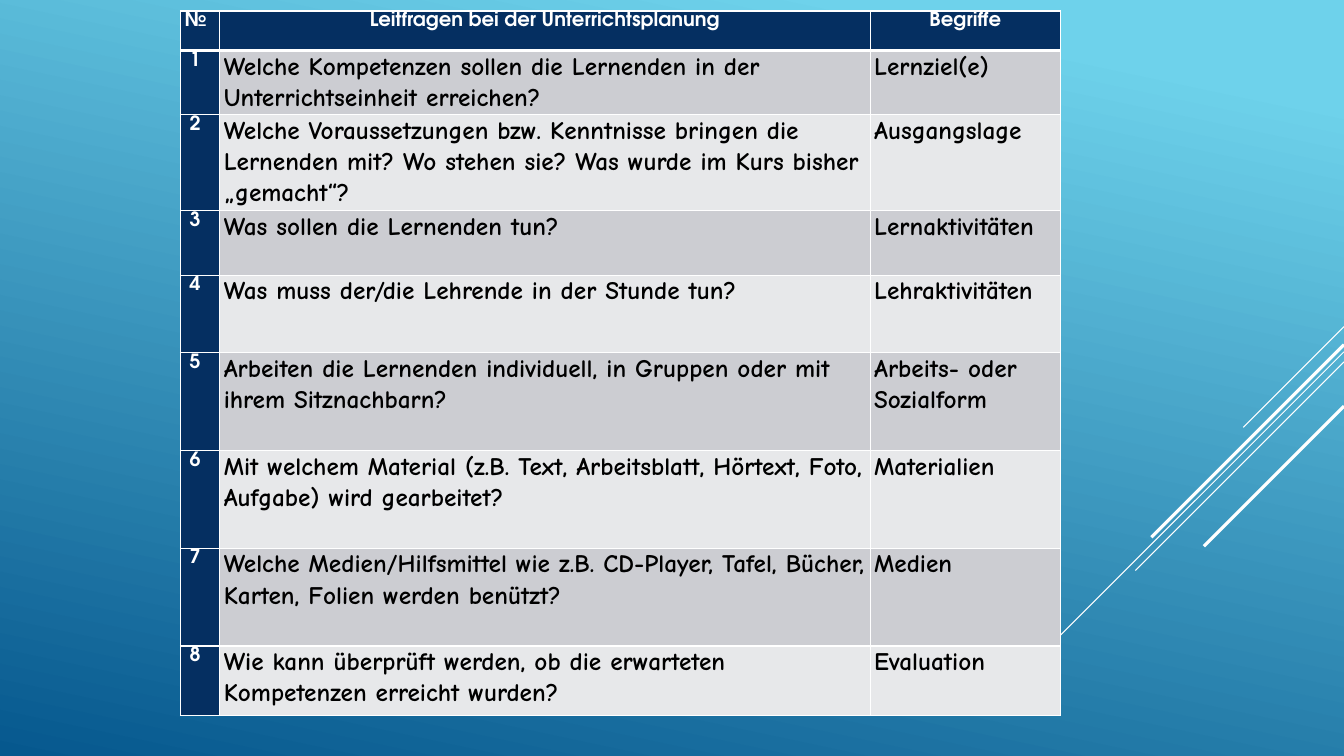
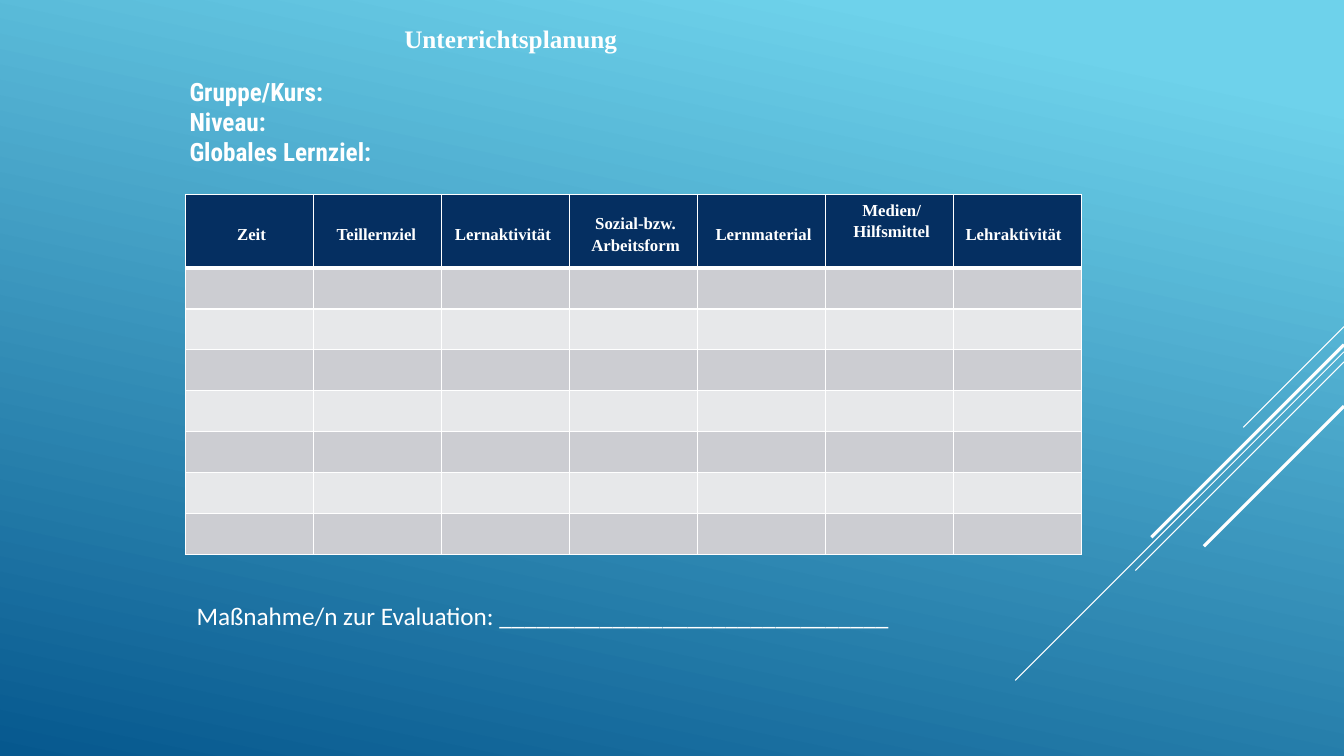
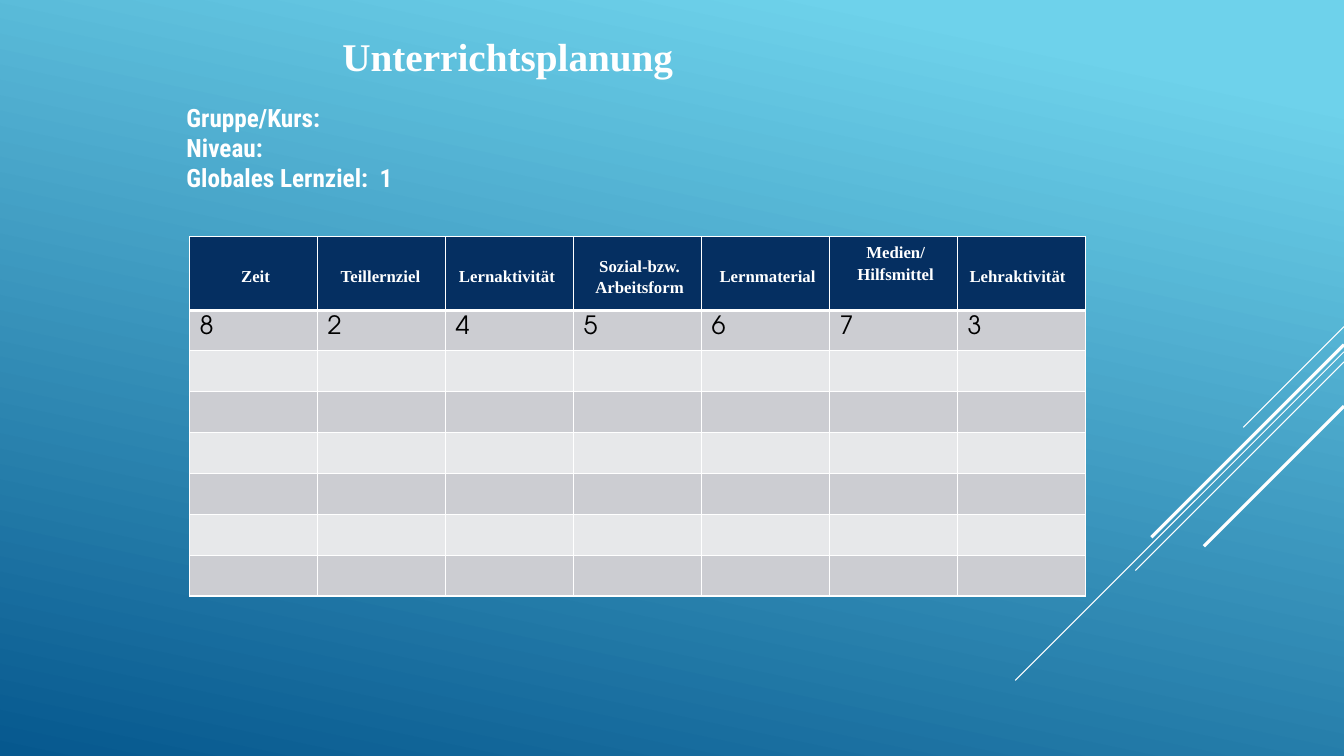
import pptx
import pptx.dml.color
import pptx.enum.shapes
import pptx.enum.text
import pptx.oxml
import pptx.oxml.ns
import pptx.util
from dataclasses import dataclass

Inches = pptx.util.Inches
Pt = pptx.util.Pt
Align = pptx.enum.text.PP_ALIGN
Anchor = pptx.enum.text.MSO_ANCHOR


@dataclass(frozen=True)
class Theme:
    white: str = "FFFFFF"
    black: str = "000000"
    navy: str = "052F61"
    bands: tuple = ("CCCDD2", "E7E8EA")
    sky: tuple = ((0.1, "6ED2EB"), (1.0, "06588E"))
    serif: str = "Times New Roman"
    geo: str = "TeX Gyre Adventor"
    comic: str = "Comic Neue"
    narrow: str = "Roboto Condensed"
    sans: str = "Calibri"
    body: int = 18
    label: int = 14
    small: int = 12


T = Theme()

GUIDE = [
    ("№", "Leitfragen bei der Unterrichtsplanung", "Begriffe"),
    ("1", "Welche Kompetenzen sollen die Lernenden in der Unterrichtseinheit erreichen?", "Lernziel(e)"),
    ("2", "Welche Voraussetzungen bzw. Kenntnisse bringen die Lernenden mit? "
          "Wo stehen sie? Was wurde im Kurs bisher „gemacht“?", "Ausgangslage"),
    ("3", "Was sollen die Lernenden tun?", "Lernaktivitäten"),
    ("4", "Was muss der/die Lehrende in der Stunde tun?", "Lehraktivitäten"),
    ("5", "Arbeiten die Lernenden individuell, in Gruppen oder mit ihrem Sitznachbarn?",
     "Arbeits- oder Sozialform"),
    ("6", "Mit welchem Material (z.B. Text, Arbeitsblatt, Hörtext, Foto, Aufgabe) wird gearbeitet?",
     "Materialien"),
    ("7", "Welche Medien/Hilfsmittel wie z.B. CD-Player, Tafel, Bücher, Karten, Folien werden benützt?",
     "Medien"),
    ("8", "Wie kann überprüft werden, ob die erwarteten Kompetenzen erreicht wurden?", "Evaluation"),
]
GUIDE_COLS = [0.39, 6.45, 1.89]
GUIDE_ROWS = [0.39, 0.64, 0.95, 0.64, 0.77, 0.97, 0.97, 0.97, 0.69]

HEADS = [
    ("Zeit", 0),
    ("Teillernziel", 0.06),
    ("Lernaktivität", 0.09),
    ("Sozial-bzw. Arbeitsform", 0),
    ("Lernmaterial", 0),
    ("Medien/\nHilfsmittel", 0),
    ("Lehraktivität", 0.12),
]
PLAN_COLS = [1.27] * len(HEADS)
PLAN_ROWS = [0.73] + [0.4] * 7

TITLE = "Unterrichtsplanung"
FIELDS = ["Gruppe/Kurs:", "Niveau:", "Globales Lernziel:"]
PLANS = [
    dict(box=(1.68, 0.18, 6.67, 1.55), size=18, goal="", grid=(1.84, 1.93), marks="",
         foot="Maßnahme/n zur Evaluation: _______________________________"),
    dict(box=(1.65, 0.27, 6.67, 1.72), size=28, goal="  1", grid=(1.88, 2.35), marks="8245673", foot=""),
]
FOOT_BOX = (1.75, 5.91, 9.1, 0.4)

EDGE = 13.33
RAYS = [(3.24, 1, 0.75), (3.49, 3.26, 0.75), (3.59, 2.07, 0.75), (3.42, 1.91, 2.25), (4.03, 1.39, 2.25)]


def tint(code):
    return pptx.dml.color.RGBColor.from_string(code)


def style(par, face, size, color, bold=False, align=Align.LEFT, space=None):
    font = par.font
    font.name, font.size, font.bold = face, Pt(size), bold
    font.color.rgb = tint(color)
    par.alignment = align
    if space:
        par.line_spacing = space


def new_slide(deck):
    slide = deck.slides.add_slide(deck.slide_layouts[6])
    fill = slide.background.fill
    fill.gradient()
    fill.gradient_angle = 258
    for stop, (pos, code) in zip(fill.gradient_stops, T.sky):
        stop.position = pos
        stop.color.rgb = tint(code)
    for top, run, width in RAYS:
        ray = slide.shapes.add_connector(
            pptx.enum.shapes.MSO_CONNECTOR.STRAIGHT,
            Inches(EDGE), Inches(top), Inches(EDGE - run), Inches(top + run))
        ray.line.color.rgb = tint(T.white)
        ray.line.width = Pt(width)
        props = ray.element.find(pptx.oxml.ns.qn("p:spPr"))
        props.append(pptx.oxml.parse_xml("<a:effectLst %s/>" % pptx.oxml.ns.nsdecls("a")))
    return slide


def edge(cell, row):
    props = cell._tc.get_or_add_tcPr()
    thick = {"T": 3 if row == 1 else 1, "B": 3 if row == 0 else 1}
    for side in "LRTB":
        props.append(pptx.oxml.parse_xml(
            '<a:ln%s %s w="%d"><a:solidFill><a:srgbClr val="%s"/></a:solidFill></a:ln%s>'
            % (side, pptx.oxml.ns.nsdecls("a"), Pt(thick.get(side, 1)), T.white, side)))


def add_grid(slide, spot, cols, rows, lead=False):
    size = (sum(cols), sum(rows))
    table = slide.shapes.add_table(len(rows), len(cols), *map(Inches, spot + size)).table
    table.first_row = table.horz_banding = False
    for col, width in zip(table.columns, cols):
        col.width = Inches(width)
    for r, height in enumerate(rows):
        table.rows[r].height = Inches(height)
        for c in range(len(cols)):
            cell = table.cell(r, c)
            edge(cell, r)
            dark = r == 0 or (lead and c == 0)
            cell.fill.solid()
            cell.fill.fore_color.rgb = tint(T.navy if dark else T.bands[(r - 1) % 2])
    return table


def inset(part, left, top, right, bottom):
    part.margin_left, part.margin_top = Inches(left), Inches(top)
    part.margin_right, part.margin_bottom = Inches(right), Inches(bottom)


def add_text(slide, box, lines):
    frame = slide.shapes.add_textbox(*map(Inches, box)).text_frame
    frame.word_wrap = True
    inset(frame, 0.2, 0.05, 0.1, 0.05)
    frame.text = "\n".join(lines)
    return frame.paragraphs


def guide(deck):
    table = add_grid(new_slide(deck), (1.79, 0.11), GUIDE_COLS, GUIDE_ROWS, lead=True)
    for r, row in enumerate(GUIDE):
        for c, text in enumerate(row):
            cell = table.cell(r, c)
            cell.text = text
            inset(cell, 0.09 if r and c == 0 else 0.04, 0, 0.04, 0)
            par = cell.text_frame.paragraphs[0]
            if r == 0 or c == 0:
                align = Align.CENTER if c else Align.LEFT
                style(par, T.geo, T.label, T.white, True, align, 1.07)
            else:
                style(par, T.comic, T.body, T.black, True, space=1.07)


def plan(deck, box, size, goal, grid, marks, foot):
    slide = new_slide(deck)
    table = add_grid(slide, grid, PLAN_COLS, PLAN_ROWS)
    for c, (text, right) in enumerate(HEADS):
        cell = table.cell(0, c)
        cell.text = text
        inset(cell, 0.04, 0.04, right, 0)
        cell.vertical_anchor = Anchor.TOP if "\n" in text else Anchor.MIDDLE
        for par in cell.text_frame.paragraphs:
            style(par, T.serif, T.small, T.white, True, Align.CENTER, 1.15)
    for c, mark in enumerate(marks):
        cell = table.cell(1, c)
        cell.text = mark
        style(cell.text_frame.paragraphs[0], T.geo, T.body, T.black)
    head, *pars = add_text(slide, box, [TITLE, *FIELDS[:-1], FIELDS[-1] + goal])
    style(head, T.serif, size, T.white, True, Align.CENTER)
    for par in pars:
        style(par, T.narrow, T.body, T.white, True)
    pars[0].space_before = Pt(16.4)
    if foot:
        style(add_text(slide, FOOT_BOX, [foot])[0], T.sans, T.body, T.white)


def main():
    deck = pptx.Presentation()
    deck.slide_width, deck.slide_height = Inches(EDGE), Inches(7.5)
    guide(deck)
    for item in PLANS:
        plan(deck, **item)
    deck.save("out.pptx")


if __name__ == "__main__":
    main()
